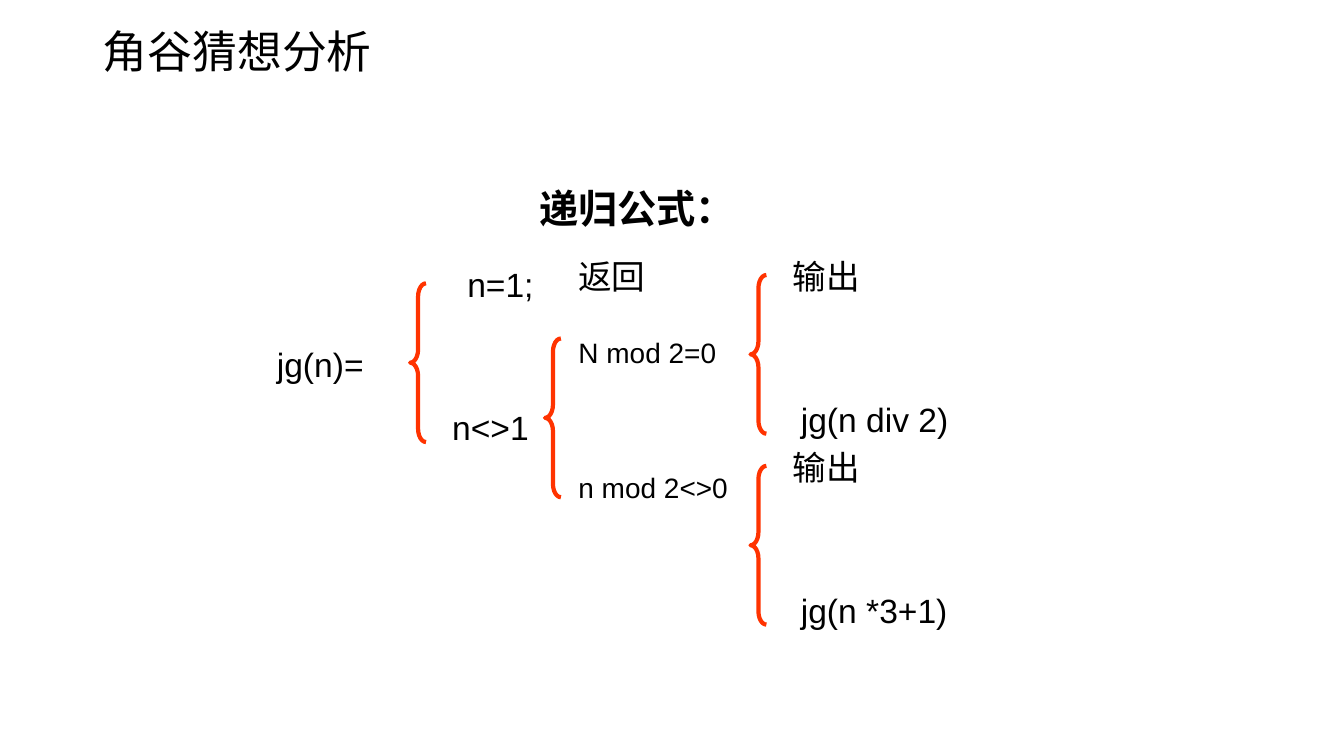
import pptx
import pptx.util
import pptx.dml.color
import pptx.enum.shapes
import pptx.enum.text

Cm = pptx.util.Cm
Pt = pptx.util.Pt

COLOURS = {"text": "000000", "brace": "FF3300"}
FONT = "Arial"


def colour(name):
    return pptx.dml.color.RGBColor.from_string(COLOURS[name])


def style(paragraph, size, bold=False):
    paragraph.alignment = pptx.enum.text.PP_ALIGN.LEFT
    paragraph.font.name = FONT
    paragraph.font.size = Pt(size)
    paragraph.font.bold = bold
    paragraph.font.color.rgb = colour("text")


def add_title(slide, text):
    title = slide.shapes.title
    title.left, title.top = Cm(2.34), Cm(0.56)
    title.width, title.height = Cm(29.2), Cm(1.58)
    frame = title.text_frame
    frame.text = text
    frame.auto_size = pptx.enum.text.MSO_AUTO_SIZE.NONE
    frame.vertical_anchor = pptx.enum.text.MSO_ANCHOR.MIDDLE
    frame.paragraphs[0].line_spacing = 0.9
    style(frame.paragraphs[0], 32)


def add_label(slide, text, left, top, width, size=24, bold=False):
    height = size * 0.05 + 0.08
    label = slide.shapes.add_textbox(Cm(left), Cm(top), Cm(width), Cm(height))
    frame = label.text_frame
    frame.word_wrap = True
    frame.auto_size = pptx.enum.text.MSO_AUTO_SIZE.SHAPE_TO_FIT_TEXT
    frame.text = text
    style(frame.paragraphs[0], size, bold)


def add_brace(slide, left, top):
    brace = slide.shapes.add_shape(
        pptx.enum.shapes.MSO_SHAPE.LEFT_BRACE, Cm(left), Cm(top), Cm(0.4), Cm(4))
    brace.adjustments[0] = 0.83
    brace.shadow.inherit = False
    brace.fill.background()
    brace.line.color.rgb = colour("brace")
    brace.line.width = Pt(3)


def add_branch(slide, top, call):
    """Add the two steps of one parity case, joined by a brace."""
    add_brace(slide, 18.92, top + 0.61)
    add_label(slide, "输出", 19.74, top, 4)
    add_label(slide, call, 19.94, top + 3.61, 6)


def main():
    presentation = pptx.Presentation()
    presentation.slide_width, presentation.slide_height = Cm(33.88), Cm(19.05)
    slide = presentation.slides.add_slide(presentation.slide_layouts[5])

    add_title(slide, "角谷猜想分析")
    add_label(slide, "递归公式：", 13.34, 4.52, 5.8, size=28, bold=True)

    add_label(slide, "jg(n)=", 6.73, 8.53, 3.2)
    add_brace(slide, 10.34, 7.14)
    add_label(slide, "n=1;", 11.53, 6.53, 2.4)
    add_label(slide, "返回", 14.33, 6.32, 2.4)

    add_label(slide, "n<>1", 11.15, 10.13, 3.6)
    add_brace(slide, 13.74, 8.53)
    add_label(slide, "N mod 2=0", 14.33, 8.33, 4.4, size=20)
    add_label(slide, "n mod 2<>0", 14.33, 11.73, 4.4, size=20)

    add_branch(slide, 6.32, "jg(n div 2)")
    add_branch(slide, 11.13, "jg(n *3+1)")

    presentation.save("out.pptx")


if __name__ == "__main__":
    main()
